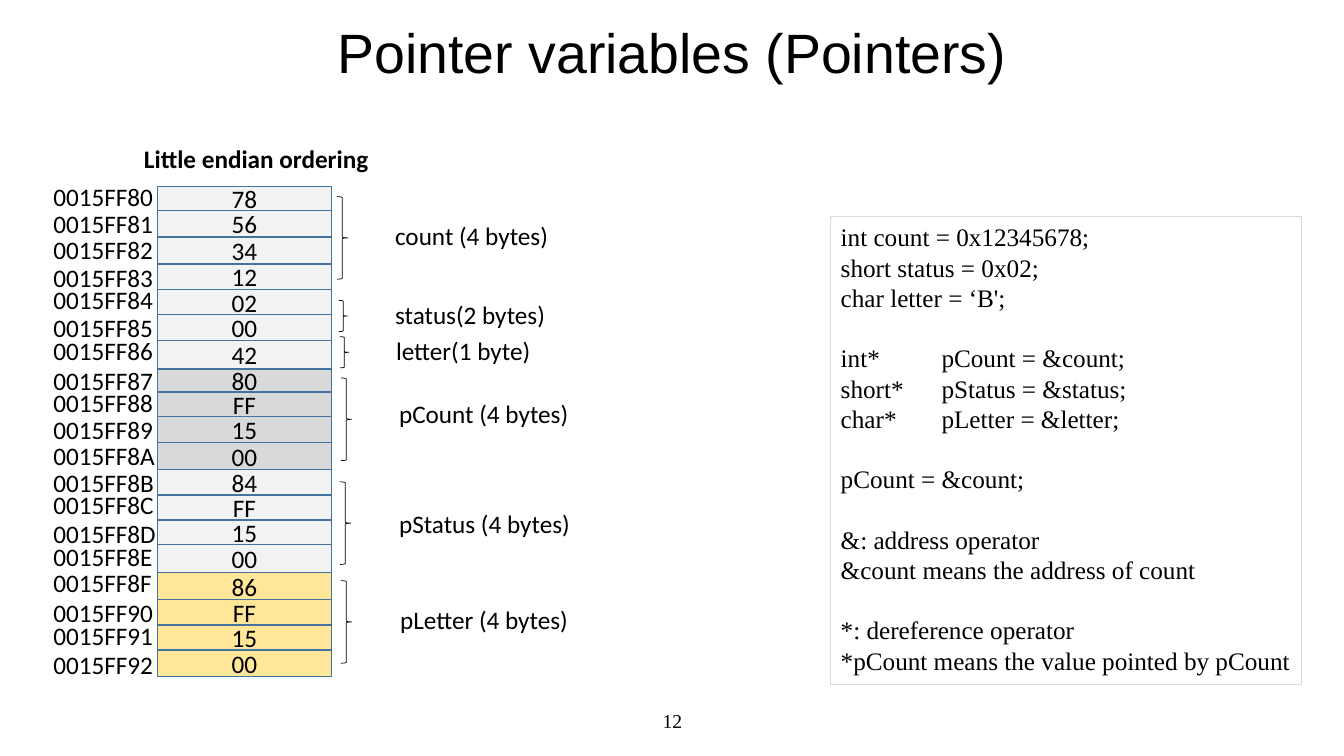
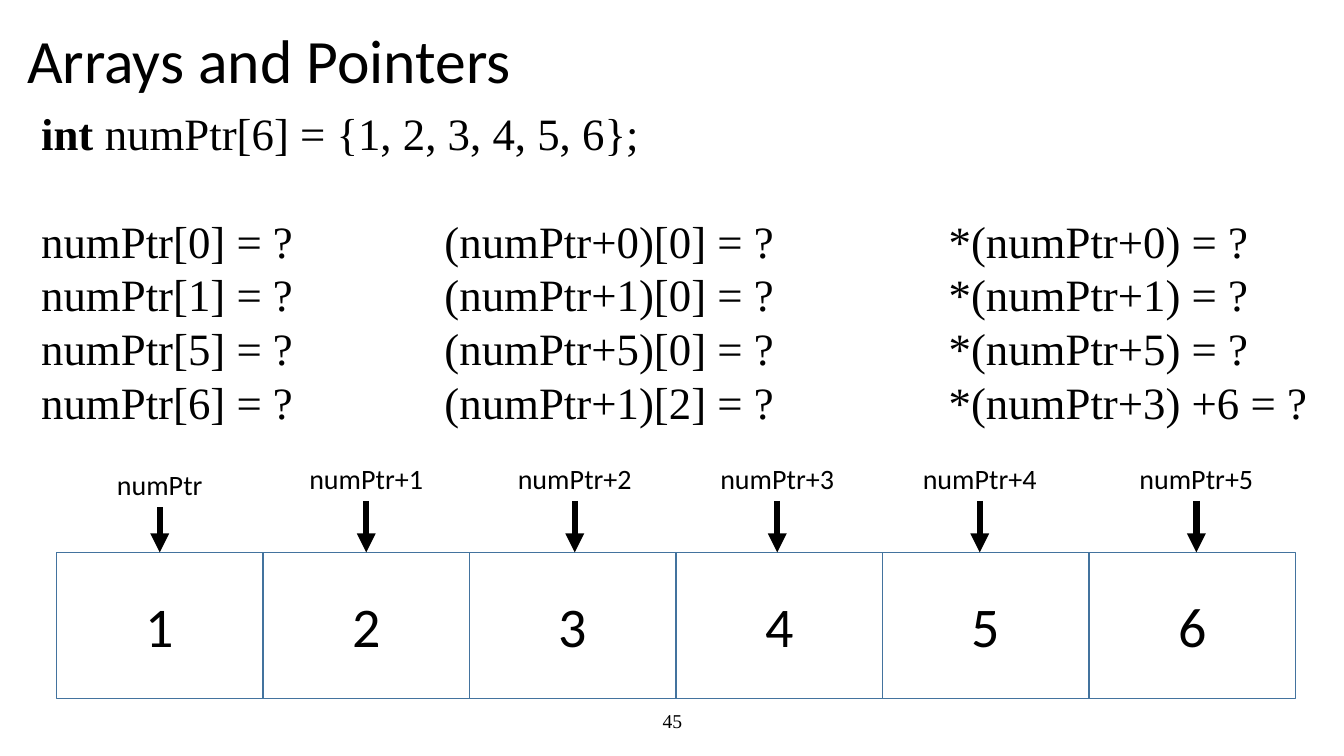
import lxml.etree
import pptx
import pptx.dml.color
import pptx.enum.shapes
import pptx.enum.text
import pptx.oxml.ns
import pptx.util

PX = 9144  # EMU in one px, 100 px to the inch
HUES = {
    "ink": "000000", "paper": "FFFFFF", "edge": "43739E", "frame": "D9D9D9",
    "light": "F2F2F2", "grey": "D9D9D9", "gold": "FFE699",
}
SANS, SERIF = "Calibri", "Times New Roman"
SHAPE = pptx.enum.shapes.MSO_SHAPE
ALIGN = pptx.enum.text.PP_ALIGN
ANCHOR = pptx.enum.text.MSO_ANCHOR
Pt = pptx.util.Pt
qn = pptx.oxml.ns.qn

EDGES = [185, 209, 235, 262, 287, 312, 338, 366, 389, 413, 439,
         466, 491, 516, 540, 568, 595, 620, 645, 671]
TAGS = [175, 202, 228, 255, 277, 305, 328, 358, 379, 406, 432,
        459, 481, 509, 532, 558, 588, 611, 639]
START = 0x0015FF80
# name, fill, bytes, brace box, label left and top
FIELDS = [
    ("count (4 bytes)", "light", "78 56 34 12", (334, 195, 11, 82), (382, 214)),
    ("status(2 bytes)", "light", "02 00", (336, 298, 9, 31), (382, 292)),
    ("letter(1 byte)", "light", "42", (337, 334, 9, 31), (383, 328)),
    ("pCount (4 bytes)", "grey", "80 FF 15 00", (338, 375, 11, 82), (386, 390)),
    ("pStatus (4 bytes)", "light", "84 FF 15 00", (337, 478, 11, 82), (386, 499)),
    ("pLetter (4 bytes)", "gold", "86 FF 15 00", (338, 576, 11, 82), (387, 595)),
]
CODE = [
    ["int count = 0x12345678;", "short status = 0x02;", "char letter = ‘B';"],
    ["int* \tpCount = &count;", "short* \tpStatus = &status;",
     "char* \tpLetter = &letter;"],
    ["pCount = &count;"],
    ["&: address operator", "&count means the address of count"],
    ["*: dereference operator", "*pCount means the value pointed by pCount"],
]
QUIZ = [
    ["int "],
    ["numPtr[0] = ?\t(numPtr+0)[0] = ?\t*(numPtr+0) = ?",
     "numPtr[1] = ?\t(numPtr+1)[0] = ?\t*(numPtr+1) = ?",
     "numPtr[5] = ?\t(numPtr+5)[0] = ?\t*(numPtr+5) = ?",
     "numPtr[6] = ?\t(numPtr+1)[2] = ?\t*(numPtr+3) +6 = ?"],
]
SHIFTS = [0, 0, 2, -2, -6, 4]  # arrow offset from the middle of its cell


def emu(*box):
    return [int(n * PX) for n in box]


def hue(name):
    return pptx.dml.color.RGBColor.from_string(HUES[name])


def style(par, size, face, bold=None, align=ALIGN.LEFT):
    par.alignment = align
    font = par.font
    font.size, font.name, font.bold = Pt(size), face, bold
    font.color.rgb = hue("ink")


def text(slide, box, words, size=18, face=SANS, bold=None,
         align=ALIGN.LEFT, anchor=ANCHOR.TOP):
    frame = slide.shapes.add_textbox(*emu(*box)).text_frame
    frame.word_wrap = True
    frame.vertical_anchor = anchor
    frame.text = words
    style(frame.paragraphs[0], size, face, bold, align)


def shape(slide, kind, box, line, width, fill=None):
    item = slide.shapes.add_shape(kind, *emu(*box))
    item.shadow.inherit = False
    item.line.color.rgb = hue(line)
    item.line.width = Pt(width)
    if fill:
        item.fill.solid()
        item.fill.fore_color.rgb = hue(fill)
    else:
        item.fill.background()
    return item


def cell(slide, box, words, size, fill):
    item = shape(slide, SHAPE.RECTANGLE, box, "edge", 1, fill)
    frame = item.text_frame
    frame.vertical_anchor = ANCHOR.MIDDLE
    frame.text = words
    style(frame.paragraphs[0], size, SANS, align=ALIGN.CENTER)
    return item


def listing(frame, blocks, size, stops):
    """Write blocks of code, one line of space between them."""
    frame.word_wrap = True
    frame.vertical_anchor = ANCHOR.TOP
    pitch = Pt(size * 1.2)
    par = None
    for block in blocks:
        for row, words in enumerate(block):
            first = par is None
            par = frame.paragraphs[0] if first else frame.add_paragraph()
            par.text = words
            par.line_spacing = pitch
            par.space_before = pitch if row == 0 and not first else Pt(0)
            tabs = lxml.etree.SubElement(par._p.get_or_add_pPr(), qn("a:tabLst"))
            for stop in stops:
                lxml.etree.SubElement(tabs, qn("a:tab"), pos=str(stop * PX), algn="l")
            style(par, size, face=SERIF)


def arrow(slide, x, top, end, goal=None):
    link = slide.shapes.add_connector(
        pptx.enum.shapes.MSO_CONNECTOR.STRAIGHT, *emu(x, top, x, end))
    if goal is not None:
        link.end_connect(goal, 0)
    link.line.color.rgb = hue("ink")
    link.line.width = Pt(4.5)
    props = link._element.spPr
    lxml.etree.SubElement(props.find(qn("a:ln")), qn("a:tailEnd"), type="triangle")
    lxml.etree.SubElement(props, qn("a:effectLst"))


def page(deck, title, box, size, face, align, number):
    """Add a slide with its title and page number."""
    slide = deck.slides.add_slide(deck.slide_layouts[5])
    head = slide.shapes.title
    head.left, head.top, head.width, head.height = emu(*box)
    frame = head.text_frame
    frame.text = title
    frame.vertical_anchor = ANCHOR.MIDDLE
    frame.auto_size = pptx.enum.text.MSO_AUTO_SIZE.NONE
    par = frame.paragraphs[0]
    par.line_spacing = 0.9
    style(par, size, face, align=align)
    text(slide, (442, 695, 450, 40), number, 14, SERIF,
         align=ALIGN.CENTER, anchor=ANCHOR.MIDDLE)
    return slide


def memory(slide, left, top):
    """Draw the bytes with addresses, braces and names."""
    dx, dy = left - 156, top - 185
    text(slide, (133 + dx, 137 + dy, 260, 40), "Little endian ordering", bold=True)
    row = 0
    for name, fill, data, brace, (x, y) in FIELDS:
        for byte in data.split():
            text(slide, (left - 113, TAGS[row] + dy, 135, 40), f"{START + row:08X}")
            high = EDGES[row + 1] - EDGES[row]
            cell(slide, (left, EDGES[row] + dy, 173, high), byte, 18, fill)
            row += 1
        bx, by, wide, high = brace
        shape(slide, SHAPE.RIGHT_BRACE, (bx + dx, by + dy, wide, high), "ink", 0.5)
        text(slide, (x + dx, y + dy, 220, 40), name)


def panel(slide, box):
    frame = shape(slide, SHAPE.RECTANGLE, box, "frame", 0.75).text_frame
    frame.margin_right = 0
    listing(frame, CODE, 18, [100])


def quiz(slide, box):
    frame = slide.shapes.add_textbox(*emu(*box)).text_frame
    listing(frame, QUIZ, 32, [400, 900])
    first = frame.paragraphs[0]
    first.runs[0].font.bold = True
    first.add_run().text = "numPtr[6] = {1, 2, 3, 4, 5, 6};"


def array(slide, left, top, wide, high):
    """Draw the array cells, each with a named arrow above."""
    step = wide / len(SHIFTS)
    for spot, shift in enumerate(SHIFTS):
        x = left + spot * step
        item = cell(slide, (x, top, step, high), str(spot + 1), 40, "paper")
        mid = x + step / 2 + shift
        tip = top - (51 if spot else 45)
        name = f"numPtr+{spot}" if spot else "numPtr"
        text(slide, (mid - 75, tip - 44, 150, 44), name, 20, align=ALIGN.CENTER)
        arrow(slide, mid, tip, top, None if shift else item)


def main():
    deck = pptx.Presentation()
    deck.slide_width, deck.slide_height = emu(1333, 750)

    slide = page(deck, "Pointer variables (Pointers)", (0, 22, 1333, 67),
                 39.6, "Arial", ALIGN.CENTER, "12")
    panel(slide, (824, 215, 467, 464))
    memory(slide, 156, 185)

    slide = page(deck, "Arrays and Pointers", (17, 17, 850, 92),
                 44, SANS, ALIGN.LEFT, "45")
    quiz(slide, (31, 100, 1302, 333))
    array(slide, 56, 548, 1229, 145)

    deck.save("out.pptx")


if __name__ == "__main__":
    main()
